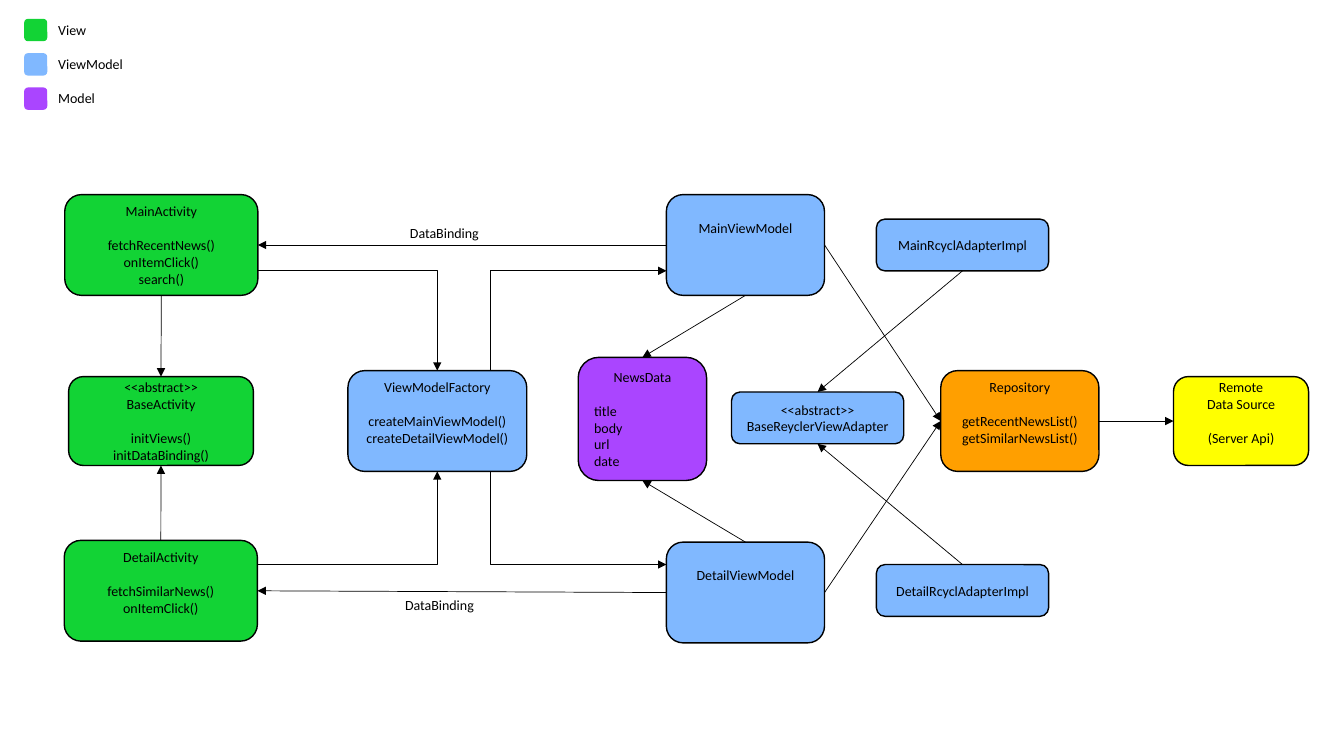
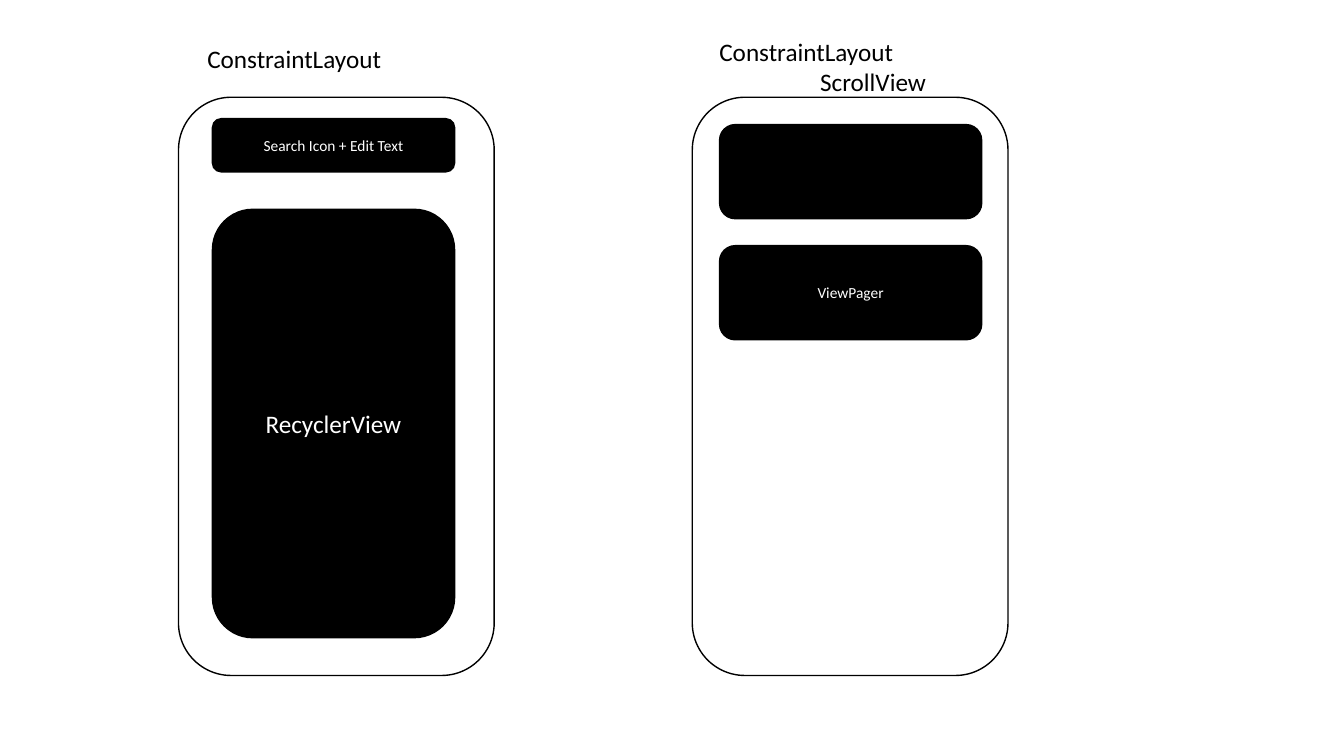
from lxml.etree import SubElement
from pptx import Presentation
from pptx.dml.color import RGBColor
from pptx.enum.shapes import MSO_CONNECTOR, MSO_SHAPE
from pptx.enum.text import MSO_ANCHOR, PP_ALIGN
from pptx.oxml.ns import qn
from pptx.util import Pt

COLORS = {
    "view": "12D335",
    "viewmodel": "80B8FF",
    "model": "AA45FF",
    "repository": "FF9F00",
    "remote": "FFFF00",
    "black": "000000",
    "white": "FFFFFF",
}
FONT = "Calibri"
LINE_HEIGHT = 1.22  # line pitch relative to the font size
TOP, LEFT, BOTTOM, RIGHT = range(4)  # connection sites of a box


class Deck:
    """Holds the diagram style and the slide being drawn."""

    def __init__(self):
        self.prs = Presentation()
        self.prs.slide_width, self.prs.slide_height = Pt(960), Pt(540)
        self.s = None

    def slide(self):
        self.s = self.prs.slides.add_slide(self.prs.slide_layouts[6])

    def color(self, name):
        return RGBColor.from_string(COLORS[name])

    def set_lines(self, tf, lines, size, color, align):
        tf.text = "\n".join(lines)
        for p in tf.paragraphs:
            p.alignment = align
            for r in p.runs:
                r.font.name, r.font.size = FONT, Pt(size)
                r.font.color.rgb = self.color(color)

    def box(self, x, y, w, h, fill, lines=(), size=10, color="black",
            gap_after=None, spare=0, outline=True):
        """Rounded box; gap_after is the line followed by a gap, spare the lines kept free below."""
        sp = self.s.shapes.add_shape(MSO_SHAPE.ROUNDED_RECTANGLE, Pt(x), Pt(y), Pt(w), Pt(h))
        sp.shadow.inherit = False
        sp.fill.solid()
        sp.fill.fore_color.rgb = self.color(fill)
        if outline:
            sp.line.color.rgb = self.color("black")
            sp.line.width = Pt(1)
        else:
            sp.line.fill.background()
        if lines:
            tf = sp.text_frame
            tf.vertical_anchor = MSO_ANCHOR.MIDDLE
            tf.margin_top, tf.margin_bottom = Pt(0), Pt(spare * size * LINE_HEIGHT)
            self.set_lines(tf, lines, size, color, PP_ALIGN.CENTER)
            if gap_after is not None:
                tf.paragraphs[gap_after].space_after = Pt(size * LINE_HEIGHT)
        return sp

    def label(self, x, y, w, h, lines, size=10):
        tf = self.s.shapes.add_textbox(Pt(x), Pt(y), Pt(w), Pt(h)).text_frame
        tf.word_wrap = True
        self.set_lines(tf, lines, size, "black", PP_ALIGN.LEFT)
        return tf

    def arrow(self, kind, x1, y1, x2, y2):
        c = self.s.shapes.add_connector(kind, Pt(x1), Pt(y1), Pt(x2), Pt(y2))
        c.line.color.rgb = self.color("black")
        c.line.width = Pt(0.5)
        SubElement(c.line._get_or_add_ln(), qn("a:tailEnd"), type="triangle")
        SubElement(c._element.spPr, qn("a:effectLst"))
        return c

    def link(self, start, start_site, end, end_site):
        c = self.arrow(MSO_CONNECTOR.STRAIGHT, 0, 0, 0, 0)
        c.begin_connect(start, start_site)
        c.end_connect(end, end_site)

    def corner(self, x1, y1, x2, y2, end, end_site):
        """Arrow that runs across, then up or down into a box."""
        c = self.arrow(MSO_CONNECTOR.ELBOW, x1, y1, x2, y2)
        c._element.spPr.find(qn("a:prstGeom")).set("prst", "bentConnector2")
        c.end_connect(end, end_site)

    def riser(self, x1, y1, x2, y2):
        """Arrow that runs up or down first, then across."""
        c = self.arrow(MSO_CONNECTOR.ELBOW, x1, y1, x2, y2)
        geom = c._element.spPr.find(qn("a:prstGeom"))
        guides = geom.find(qn("a:avLst"))
        if guides is None:
            guides = SubElement(geom, qn("a:avLst"))
        SubElement(guides, qn("a:gd"), name="adj1", fmla="val 100")


def architecture(deck):
    deck.slide()

    # Legend
    for i, (name, fill) in enumerate(
            [("View", "view"), ("ViewModel", "viewmodel"), ("Model", "model")]):
        y = 13.5 + 24.5 * i
        deck.box(17.3, y, 16.5, 16, fill, outline=False)
        deck.label(34.5, y - 2, 125, 19.5, [name])

    # Views
    main_activity = deck.box(
        46.25, 139, 138, 72, "view",
        ["MainActivity", "fetchRecentNews()", "onItemClick()", "search()"], gap_after=0)
    base_activity = deck.box(
        49, 269, 132, 63.5, "view",
        ["<<abstract>>", "BaseActivity", "initViews()", "initDataBinding()"], gap_after=1)
    detail_activity = deck.box(
        45.9, 386, 138, 72, "view",
        ["DetailActivity", "fetchSimilarNews()", "onItemClick()"], gap_after=0, spare=1)

    # View models and adapters
    factory = deck.box(
        248.5, 264.75, 127.75, 72, "viewmodel",
        ["ViewModelFactory", "createMainViewModel()", "createDetailViewModel()"],
        gap_after=0, spare=1)
    main_model, detail_model = [
        deck.box(476, y, 113, 72, "viewmodel", [name], spare=2)
        for y, name in [(139, "MainViewModel"), (387.25, "DetailViewModel")]]
    main_adapter, detail_adapter, base_adapter = [
        deck.box(x, y, 123, 37, "viewmodel", lines)
        for x, y, lines in [
            (626, 156.5, ["MainRcyclAdapterImpl"]),
            (626, 403.25, ["DetailRcyclAdapterImpl"]),
            (522.5, 280, ["<<abstract>>", "BaseReyclerViewAdapter"])]]

    # Data
    news = deck.box(413, 255.25, 91.75, 88, "model",
                    ["NewsData", "title", "body", "url", "date"], gap_after=0)
    for p in news.text_frame.paragraphs[1:]:
        p.alignment = PP_ALIGN.LEFT
    repository = deck.box(
        672, 264.75, 113, 72, "repository",
        ["Repository", "getRecentNewsList()", "getSimilarNewsList()"], gap_after=0, spare=1)
    remote = deck.box(838.25, 269, 96.5, 63.5, "remote",
                      ["Remote", "Data Source", "(Server Api)"], gap_after=1, spare=1)

    # Straight arrows
    for ends in [
            (main_activity, BOTTOM, base_activity, TOP),
            (detail_activity, TOP, base_activity, BOTTOM),
            (main_model, LEFT, main_activity, RIGHT),
            (detail_model, LEFT, detail_activity, RIGHT),
            (repository, RIGHT, remote, LEFT),
            (main_model, RIGHT, repository, LEFT),
            (detail_model, RIGHT, repository, LEFT),
            (main_model, BOTTOM, news, TOP),
            (detail_model, TOP, news, BOTTOM),
            (main_adapter, BOTTOM, base_adapter, TOP),
            (detail_adapter, TOP, base_adapter, BOTTOM)]:
        deck.link(*ends)
    for x, y in [(285.75, 157), (282.25, 422.75)]:
        deck.label(x, y, 75, 19.5, ["DataBinding"])

    # Elbow arrows into and out of the factory
    for y, factory_y, site in [(193.5, 264.75, TOP), (403.25, 336.75, BOTTOM)]:
        deck.corner(184.25, y, 312.4, factory_y, factory, site)
        deck.riser(350, factory_y, 476, y)


def screens(deck):
    deck.slide()

    # Main screen
    deck.box(127.5, 69.5, 225.5, 413, "white")
    deck.box(151.75, 84.75, 173, 38, "black", ["Search Icon + Edit Text"], 11, "white")
    deck.box(151.75, 149.5, 173, 306, "black", ["RecyclerView"], 18, "white")
    deck.label(141, 27.5, 269, 29, ["ConstraintLayout"], 18)

    # Detail screen
    deck.box(494.5, 69.5, 225.5, 413, "white")
    for y, lines in [(89, []), (175.5, ["ViewPager"])]:
        deck.box(514, y, 187.25, 67.25, "black", lines, 11, "white")
    tf = deck.label(506.75, 22.5, 269, 51, ["ConstraintLayout", "ScrollView"], 18)
    tf.paragraphs[1]._p.get_or_add_pPr().set("marL", str(int(Pt(72))))


def main():
    deck = Deck()
    architecture(deck)
    screens(deck)
    deck.prs.save("out.pptx")


if __name__ == "__main__":
    main()
